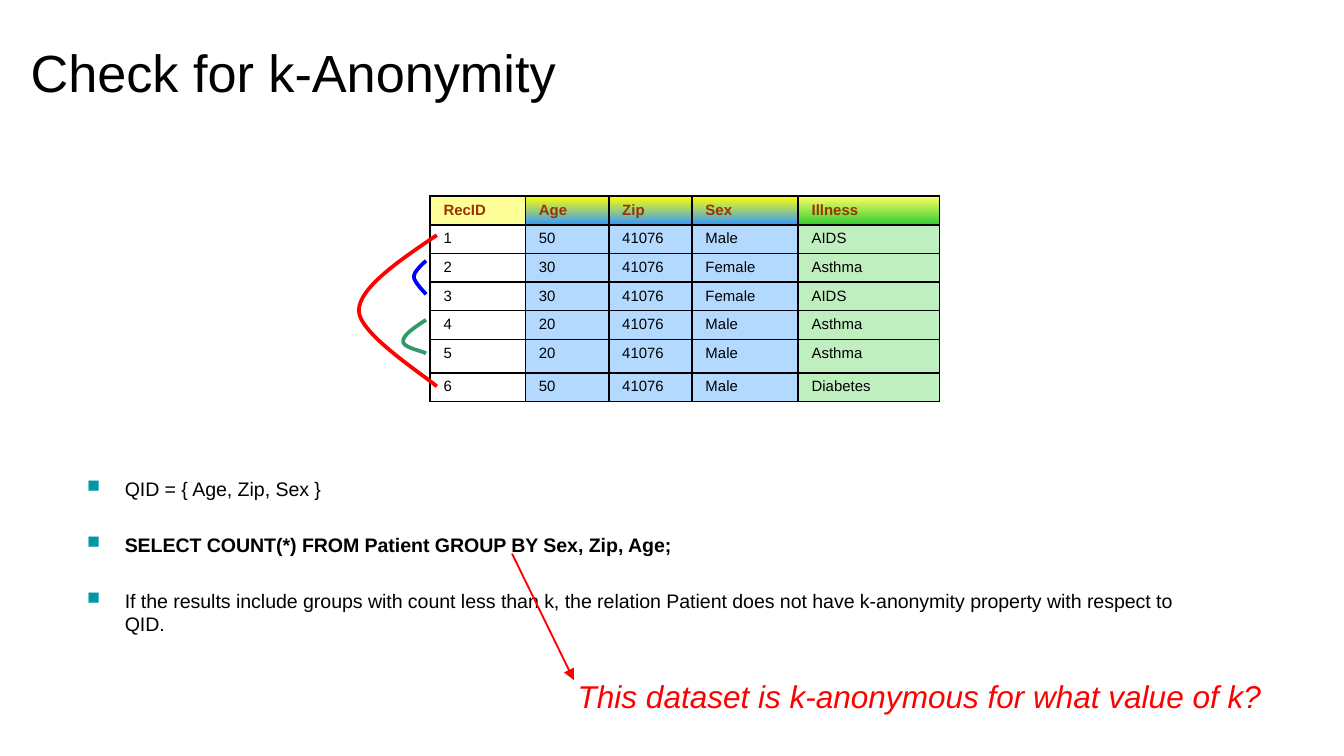
from lxml import etree
from pptx import Presentation
from pptx import util as u
from pptx.dml.color import RGBColor
from pptx.enum import shapes, text
from pptx.oxml import ns

# Grid: 100 columns across a 10 inch slide, rows of the same size
UNIT = u.Inches(0.1)
FONT = "Arial"
BLACK = RGBColor(0, 0, 0)
RED = RGBColor(255, 0, 0)
BLUE = RGBColor(0, 0, 255)
GREEN = RGBColor(0x33, 0x99, 0x66)
BROWN = RGBColor(0x99, 0x33, 0x00)
CREAM = RGBColor(0xFF, 0xFF, 0x99)
YELLOW = RGBColor(0xFF, 0xFF, 0x00)
LEMON = RGBColor(0xFF, 0xFF, 0x66)
SKY = RGBColor(0x33, 0x99, 0xFF)
LIME = RGBColor(0x33, 0xCC, 0x33)
PALE_BLUE = RGBColor(0xB3, 0xD9, 0xFF)
PALE_GREEN = RGBColor(0xBF, 0xEF, 0xBF)

COLUMNS = [7.1, 6.2, 6.2, 7.9, 10.5]
ROWS = [2, 2, 2, 2, 2, 2.5, 2]
HEADER_FILLS = [(CREAM,)] + [(YELLOW, SKY)] * 3 + [(LEMON, LIME)]
BODY_FILLS = [()] + [(PALE_BLUE,)] * 3 + [(PALE_GREEN,)]
RECORDS = [
    ("RecID", "Age", "Zip", "Sex", "Illness"),
    ("1", "50", "41076", "Male", "AIDS"),
    ("2", "30", "41076", "Female", "Asthma"),
    ("3", "30", "41076", "Female", "AIDS"),
    ("4", "20", "41076", "Male", "Asthma"),
    ("5", "20", "41076", "Male", "Asthma"),
    ("6", "50", "41076", "Male", "Diabetes"),
]
POINTS = [
    ("QID = { Age, Zip, Sex }", False),
    ("SELECT COUNT(*) FROM Patient GROUP BY Sex, Zip, Age;", True),
    ("If the results include groups with count less than k, the relation Patient "
     "does not have k-anonymity property with respect to QID.", False),
]


def grid(*lengths):
    return [u.Emu(round(length * UNIT)) for length in lengths]


def set_font(para, size, color=BLACK, bold=False, italic=False):
    font = para.font
    font.name, font.size, font.color.rgb = FONT, u.Pt(size), color
    font.bold, font.italic = bold, italic


def add_frame(page, box, inset):
    frame = page.shapes.add_textbox(*grid(*box)).text_frame
    frame.word_wrap = True
    frame.margin_left = frame.margin_right = UNIT
    frame.margin_top = frame.margin_bottom = u.Inches(inset)
    return frame


def add_line_of_text(page, box, words, size, **style):
    para = add_frame(page, box, 0.1).paragraphs[0]
    para.text = words
    set_font(para, size, **style)
    return para


def fill_cell(cell, colors):
    if len(colors) == 2:
        cell.fill.gradient()
        cell.fill.gradient_angle = 270
        for stop, color in zip(cell.fill.gradient_stops, colors):
            stop.color.rgb = color
    elif colors:
        cell.fill.solid()
        cell.fill.fore_color.rgb = colors[0]
    else:
        cell.fill.background()


def border_cell(cell):
    properties = cell._tc.get_or_add_tcPr()
    for index, side in enumerate(("lnL", "lnR", "lnT", "lnB")):
        line = etree.Element(ns.qn(f"a:{side}"), w=str(u.Pt(1)))
        fill = etree.SubElement(line, ns.qn("a:solidFill"))
        etree.SubElement(fill, ns.qn("a:srgbClr"), val=str(BLACK))
        properties.insert(index, line)


def add_patient_table(page, left, top):
    box = grid(left, top, sum(COLUMNS), sum(ROWS))
    table = page.shapes.add_table(len(ROWS), len(COLUMNS), *box).table
    for column, width in zip(table.columns, grid(*COLUMNS)):
        column.width = width
    for row, height in zip(table.rows, grid(*ROWS)):
        row.height = height
    for r, record in enumerate(RECORDS):
        for c, value in enumerate(record):
            cell = table.cell(r, c)
            cell.margin_left = cell.margin_right = UNIT
            cell.margin_top = cell.margin_bottom = u.Inches(0.04)
            para = cell.text_frame.paragraphs[0]
            para.text = value
            para.alignment = text.PP_ALIGN.JUSTIFY
            set_font(para, 8, BROWN if r == 0 else BLACK, bold=r == 0)
            fill_cell(cell, (BODY_FILLS if r else HEADER_FILLS)[c])
            border_cell(cell)


def bezier(p0, p1, p2, p3, steps=16):
    for i in range(steps + 1):
        t = i / steps
        weights = ((1 - t) ** 3, 3 * t * (1 - t) ** 2, 3 * t * t * (1 - t), t ** 3)
        yield tuple(sum(w * p[axis] for w, p in zip(weights, (p0, p1, p2, p3)))
                    for axis in (0, 1))


def add_group_link(page, box, bend, color):
    """Arc joining two records; bend is the height share of its leftmost point."""
    left, top, width, height = box
    middle = (0, bend)
    curve = list(bezier((1, 0), (0.5, 0.35 * bend), (0, 0.7 * bend), middle))
    curve += list(bezier(middle, (0, 1.3 * bend), (0.82, 0.92), (1, 1)))[1:]
    dots = [tuple(grid(left + x * width, top + y * height)) for x, y in curve]
    builder = page.shapes.build_freeform(*dots[0])
    builder.add_line_segments(dots[1:], close=False)
    link = builder.convert_to_shape()
    link.shadow.inherit = False
    link.fill.background()
    link.line.color.rgb, link.line.width = color, u.Pt(2)


def add_points(page, box):
    frame = add_frame(page, box, 0.05)
    for index, (words, bold) in enumerate(POINTS):
        para = frame.paragraphs[0] if index == 0 else frame.add_paragraph()
        para.text = words
        properties = para._p.get_or_add_pPr()
        indent = u.Inches(0.28)
        properties.set("marL", str(indent))
        properties.set("indent", str(-indent))
        color = etree.SubElement(properties, ns.qn("a:buClr"))
        etree.SubElement(color, ns.qn("a:srgbClr"), val="0097A7")
        etree.SubElement(properties, ns.qn("a:buSzPct"), val="90000")
        etree.SubElement(properties, ns.qn("a:buChar"), char="■")
        if index:
            para.space_before = u.Pt(17.4)
        set_font(para, 10.5, bold=bold)


def add_arrow(page, start, end):
    arrow = page.shapes.add_connector(
        shapes.MSO_CONNECTOR.STRAIGHT, *grid(*start, *end))
    arrow.line.color.rgb, arrow.line.width = RED, u.Pt(1)
    etree.SubElement(arrow.line._get_or_add_ln(), ns.qn("a:tailEnd"), type="triangle")
    etree.SubElement(arrow._element.spPr, ns.qn("a:effectLst"))


def build_slide(deck):
    page = deck.slides.add_slide(deck.slide_layouts[6])
    # Title
    add_line_of_text(page, (1.3, 2, 85, 8.9), "Check for k-Anonymity", 28)
    # Patient records and the points about them
    add_patient_table(page, 32, 14.6)
    add_points(page, (5.5, 35, 85.8, 15.6))
    # Links between records with equal QID
    add_group_link(page, (26.7, 17.5, 5.8, 11.25), 0.5, RED)
    add_group_link(page, (30.8, 19.4, 0.9, 2.5), 0.48, BLUE)
    add_group_link(page, (30, 23.8, 1.7, 2.5), 0.64, GREEN)
    # Question and its arrow
    question = add_line_of_text(
        page, (42, 49.6, 56.9, 6), "This dataset is k-anonymous for what value of k?",
        16.9, color=RED, italic=True)
    question.line_spacing = 0.95
    add_arrow(page, (38.1, 41.2), (42.7, 50.6))


def main():
    deck = Presentation()
    deck.slide_width, deck.slide_height = grid(100, 56.25)
    build_slide(deck)
    deck.save("out.pptx")


if __name__ == "__main__":
    main()
